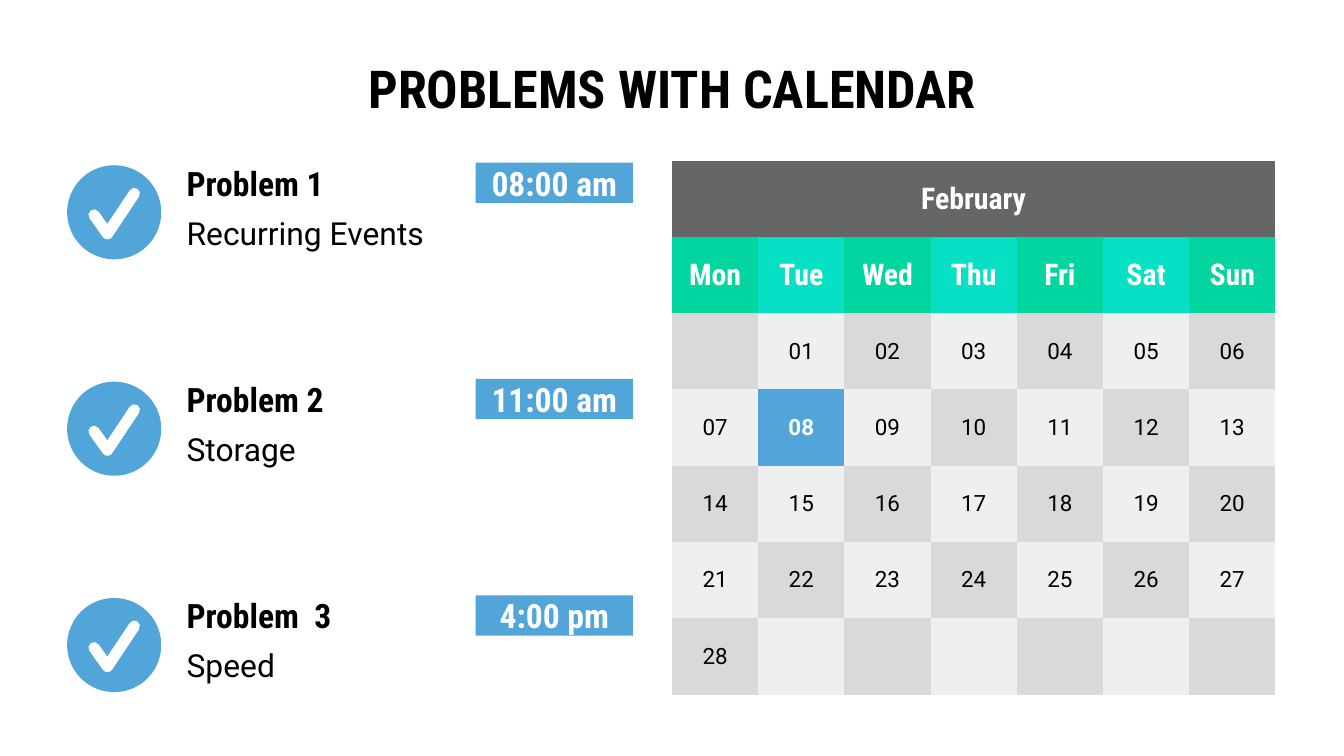
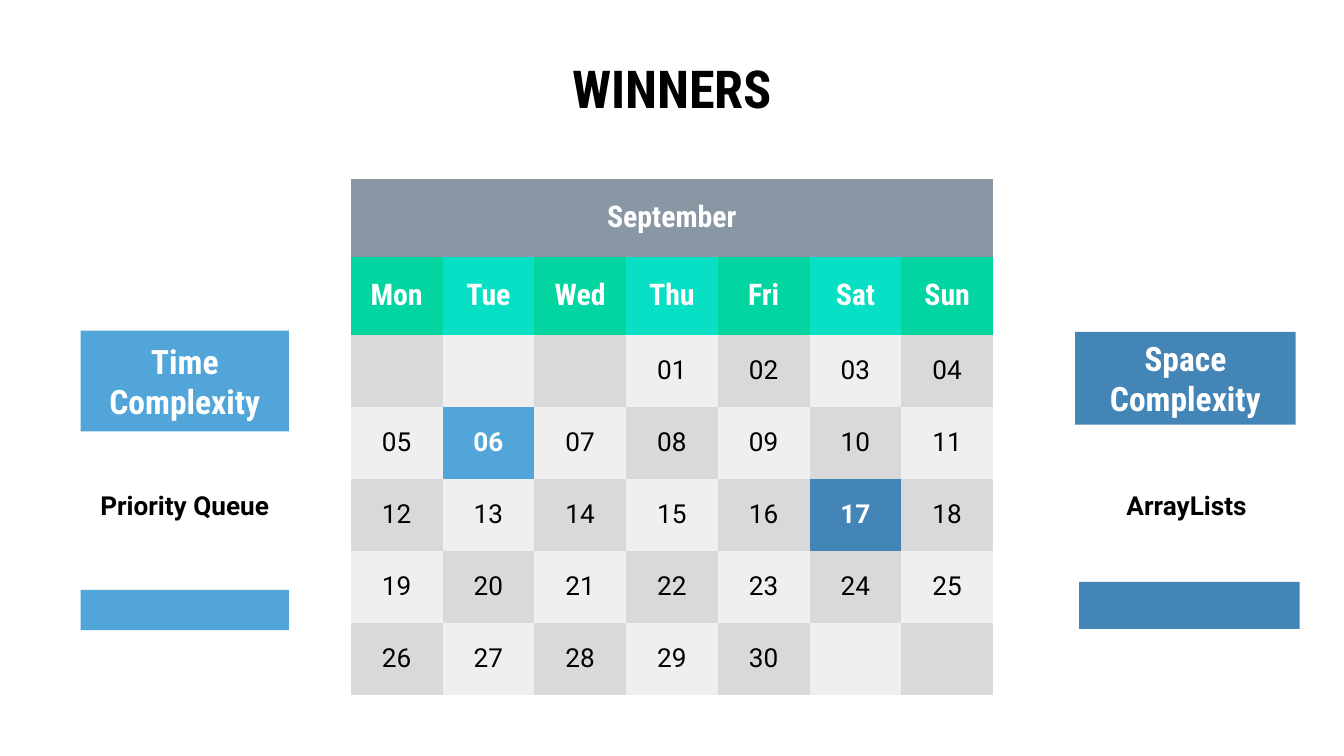
from lxml import etree
from pptx import Presentation
from pptx import util as u
from pptx.dml import color
from pptx.enum import shapes, text
from pptx.oxml import ns

# Shared style
HEADING_FONT, BODY_FONT = "Roboto Condensed", "Roboto"
BLACK, WHITE = "000000", "FFFFFF"
SKY, STEEL = "51A5D8", "4385B6"
WEEKDAY_FILLS = ("02D5A0", "07E0C4")
DAY_FILLS = ("D9D9D9", "EFEFEF")
WEEKDAYS = ("Mon", "Tue", "Wed", "Thu", "Fri", "Sat", "Sun")
PLAIN_TABLE = "{2D5ABB26-0587-4C30-8999-92F81FD0307C}"
MARGIN = u.Inches(0.1)
CENTER = text.PP_ALIGN.CENTER


def rgb(hex_code):
    return color.RGBColor.from_string(hex_code)


def paint(target, hex_code):
    target.fill.solid()
    target.fill.fore_color.rgb = rgb(hex_code)


def write(frame, words, size=18, font=HEADING_FONT, ink=BLACK, bold=True,
          align=CENTER):
    paragraph = frame.paragraphs[0]
    paragraph.alignment = align
    run = paragraph.add_run()
    run.text = words
    run.font.size = u.Pt(size)
    run.font.name = font
    run.font.bold = bold
    run.font.color.rgb = rgb(ink)


def set_margins(target):
    target.vertical_anchor = text.MSO_ANCHOR.MIDDLE
    target.margin_left = target.margin_right = MARGIN
    target.margin_top = target.margin_bottom = MARGIN


def add_label(parent, box, words, **style):
    label = parent.add_textbox(*map(u.Inches, box))
    label.text_frame.word_wrap = True
    set_margins(label.text_frame)
    write(label.text_frame, words, **style)


def add_block(parent, box, fill, words=None, kind=shapes.MSO_SHAPE.RECTANGLE):
    block = parent.add_shape(kind, *map(u.Inches, box))
    block.shadow.inherit = False
    paint(block, fill)
    block.line.fill.background()
    if words:
        block.text_frame.word_wrap = True
        set_margins(block.text_frame)
        write(block.text_frame, words, ink=WHITE)


def add_check(parent, left, top):
    """White tick on a blue disc."""
    add_block(parent, (left, top, 0.7, 0.7), SKY, kind=shapes.MSO_SHAPE.OVAL)
    points = [(u.Inches(left + x), u.Inches(top + y))
              for x, y in ((0.2, 0.37), (0.3, 0.51), (0.5, 0.21))]
    builder = parent.build_freeform(*points[0])
    builder.add_line_segments(points[1:], close=False)
    tick = builder.convert_to_shape()
    tick.shadow.inherit = False
    tick.fill.background()
    tick.line.color.rgb = rgb(WHITE)
    tick.line.width = u.Pt(6)
    # Round ends and corner
    outline = tick.element.spPr.find(ns.qn("a:ln"))
    outline.set("cap", "rnd")
    etree.SubElement(outline, ns.qn("a:round"))


def add_problem(slide, top, name, detail, time):
    group = slide.shapes.add_group_shape().shapes
    add_label(group, (1.29, top, 2.25, 0.3), name, align=text.PP_ALIGN.LEFT)
    add_label(group, (1.29, top + 0.3, 2.25, 0.44), detail, size=17,
              font=BODY_FONT, bold=False, align=text.PP_ALIGN.LEFT)
    add_block(group, (3.54, top, 1.17, 0.3), SKY, time)
    add_check(slide.shapes, 0.5, top + 0.02)


def add_winner(slide, fill, heading, heading_box, winner, winner_box, bar_box):
    group = slide.shapes.add_group_shape().shapes
    add_block(group, heading_box, fill, heading)
    add_label(group, winner_box, winner, size=14, font=BODY_FONT)
    add_block(group, bar_box, fill)


def fill_cell(cell, fill, words="", **style):
    paint(cell, fill)
    set_margins(cell)
    if words:
        write(cell.text_frame, words, **style)


def add_calendar(slide, left, top, width, head_height, days_height, month,
                 month_fill, first_column, days, day_size, marked):
    """Month grid; marked maps a day to its highlight fill."""
    heights = [head_height / 2] * 2 + [days_height / 5] * 5
    frame = slide.shapes.add_table(7, 7, *map(
        u.Inches, (left, top, width, sum(heights))))
    frame.element.find(".//" + ns.qn("a:tableStyleId")).text = PLAIN_TABLE
    table = frame.table
    table.first_row = table.horz_banding = False
    for column in table.columns:
        column.width = u.Inches(width / 7)
    for row, height in zip(table.rows, heights):
        row.height = u.Inches(height)

    # Month and weekdays
    table.cell(0, 0).merge(table.cell(0, 6))
    fill_cell(table.cell(0, 0), month_fill, month, size=16, ink=WHITE)
    for column, weekday in enumerate(WEEKDAYS):
        fill_cell(table.cell(1, column), WEEKDAY_FILLS[column % 2], weekday,
                  size=16, ink=WHITE)

    # Days
    for week in range(5):
        for column in range(7):
            day = week * 7 + column - first_column + 1
            fill = marked.get(day, DAY_FILLS[(week + column) % 2])
            fill_cell(table.cell(week + 2, column), fill,
                      f"{day:02}" if 1 <= day <= days else "",
                      size=day_size, font=BODY_FONT, bold=day in marked,
                      ink=WHITE if day in marked else BLACK)


def add_slide(deck, title):
    slide = deck.slides.add_slide(deck.slide_layouts[6])
    add_label(slide.shapes, (0.5, 0.45, 9, 0.41), title, size=28)
    return slide


def main():
    deck = Presentation()
    deck.slide_width = u.Inches(10)
    deck.slide_height = u.Inches(10 * 9 / 16)

    # Problems
    problems = add_slide(deck, "PROBLEMS WITH CALENDAR")
    add_calendar(problems, 5, 1.2, 4.49, 1.13, 2.84, "February", "666666",
                 first_column=1, days=28, day_size=12, marked={8: SKY})
    first_top, last_top = 1.21, 4.43
    for index, problem in enumerate((
            ("Problem 1", "Recurring Events", "08:00 am"),
            ("Problem 2", "Storage", "11:00 am"),
            ("Problem  3", "Speed", "4:00 pm"))):
        add_problem(problems, first_top + (last_top - first_top) / 2 * index,
                    *problem)

    # Winners
    winners = add_slide(deck, "WINNERS")
    add_calendar(winners, 2.61, 1.33, 4.78, 1.16, 2.68, "September", "8997A4",
                 first_column=3, days=30, day_size=14,
                 marked={6: SKY, 17: STEEL})
    add_winner(winners, STEEL, "Space Complexity", (8, 2.47, 1.64, 0.69),
               "ArrayLists", (8.01, 3.45, 1.64, 0.62), (8.03, 4.33, 1.64, 0.35))
    add_winner(winners, SKY, "Time Complexity", (0.6, 2.46, 1.55, 0.75),
               "Priority Queue", (0.6, 3.43, 1.55, 0.65), (0.6, 4.39, 1.55, 0.3))

    deck.save("out.pptx")


if __name__ == "__main__":
    main()
